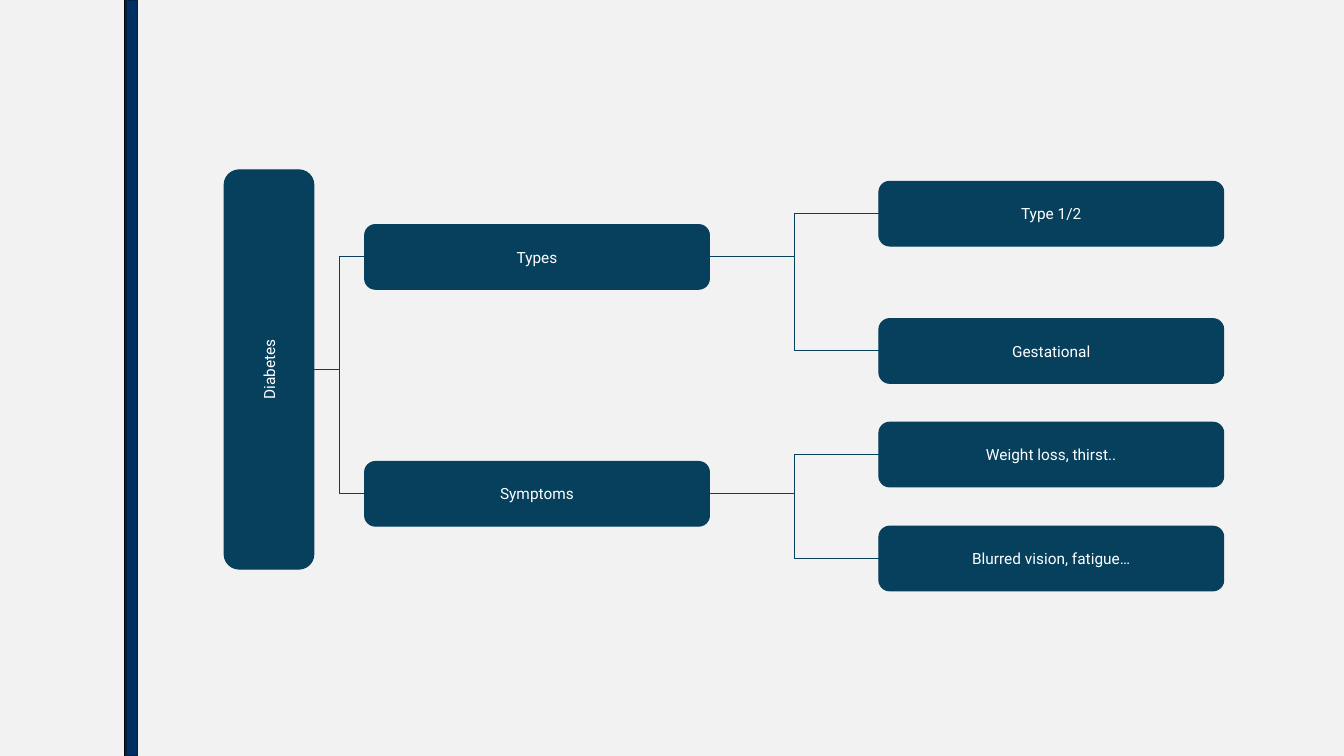
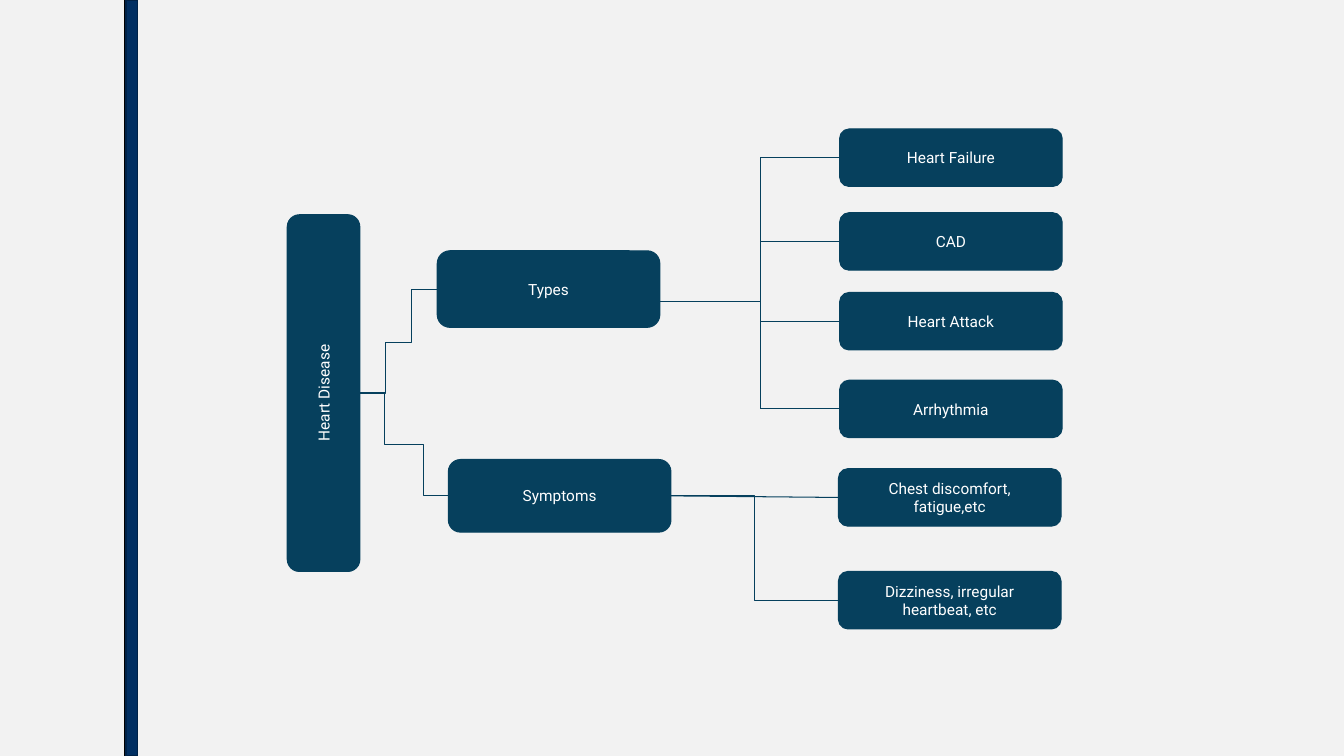
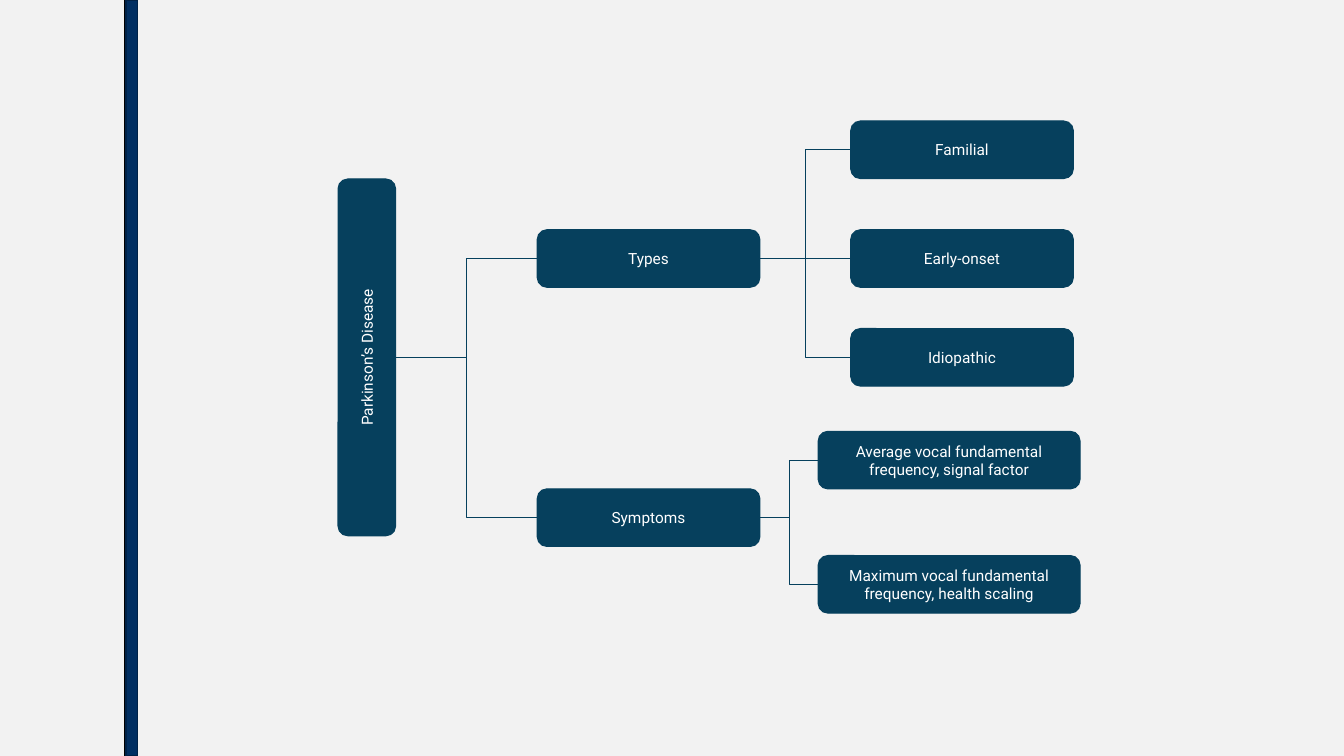
from dataclasses import dataclass

from lxml import etree
from pptx import Presentation
from pptx import util as u
from pptx.dml.color import RGBColor
from pptx.enum import shapes, text
from pptx.oxml.ns import qn


@dataclass(frozen=True)
class Theme:
    paper: str = "F2F2F2"
    node: str = "06405D"
    label: str = "FFFFFF"
    band: str = "012F62"
    band_edge: str = "002247"
    rule: str = "000000"
    font: str = "Roboto"
    label_size: float = 11
    link_width: float = 0.75
    rail_width: float = 1


@dataclass(frozen=True)
class Box:
    """A rectangle in centimetres."""
    left: float
    top: float
    width: float
    height: float

    @property
    def right(self):
        return self.left + self.width

    @property
    def middle(self):
        return self.top + self.height / 2

    @property
    def entry(self):
        return self.left, self.middle

    @property
    def exit(self):
        return self.right, self.middle

    def within(self, area):
        return Box(area.left + self.left, area.top + self.top, self.width, self.height)


@dataclass(frozen=True)
class Branch:
    label: str
    box: Box
    leaves: tuple  # (label, box) pairs
    root_bends: tuple = ()  # three bend positions of a double-step root link
    bus: tuple = ()  # x, top and bottom of a shared upright line


@dataclass(frozen=True)
class Tree:
    area: Box
    label: str
    root: Box
    branches: tuple


THEME = Theme()
PAGE = Box(0, 0, 33.87, 19.05)
ELBOW = shapes.MSO_CONNECTOR.ELBOW
STRAIGHT = shapes.MSO_CONNECTOR.STRAIGHT
LEFT_SITE, RIGHT_SITE = 1, 3


def color(value):
    return RGBColor.from_string(value)


def add_block(page, kind, box, fill, edge, edge_width):
    block = page.shapes.add_shape(
        kind, u.Cm(box.left), u.Cm(box.top), u.Cm(box.width), u.Cm(box.height))
    block.shadow.inherit = False
    block.fill.solid()
    block.fill.fore_color.rgb = color(fill)
    block.line.color.rgb = color(edge)
    block.line.width = u.Pt(edge_width)
    return block


def add_link(page, start, end, kind=STRAIGHT, line=THEME.node, width=THEME.link_width):
    link = page.shapes.add_connector(kind, *(u.Cm(value) for value in (*start, *end)))
    link.line.color.rgb = color(line)
    link.line.width = u.Pt(width)
    etree.SubElement(link._element.spPr, qn("a:effectLst"))
    return link


def set_double_step(link, bends):
    """Turn an elbow into one with three bends, given as shares of its size."""
    geometry = link._element.spPr.find(qn("a:prstGeom"))
    geometry.set("prst", "bentConnector5")
    adjustments = geometry.find(qn("a:avLst"))
    for number, bend in enumerate(bends, 1):
        guide = etree.SubElement(adjustments, qn("a:gd"))
        guide.set("name", f"adj{number}")
        guide.set("fmla", f"val {round(bend * 100000)}")


def add_node(page, box, label, upright=False):
    """Draw a labelled box; an upright one reads from bottom to top."""
    frame = box
    if upright:
        shift = (box.height - box.width) / 2
        frame = Box(box.left - shift, box.top + shift, box.height, box.width)
    node = add_block(page, shapes.MSO_SHAPE.ROUNDED_RECTANGLE, frame,
                     THEME.node, THEME.node, THEME.link_width)
    node.rotation = 270 if upright else 0
    body = node.text_frame
    body.word_wrap = True
    body.vertical_anchor = text.MSO_ANCHOR.MIDDLE
    body.margin_left = body.margin_right = u.Cm(0.25)
    body.margin_top = body.margin_bottom = u.Cm(0.25)
    para = body.paragraphs[0]
    para.alignment = text.PP_ALIGN.CENTER
    span = para.add_run()
    span.text = label
    span.font.name = THEME.font
    span.font.size = u.Pt(THEME.label_size)
    span.font.color.rgb = color(THEME.label)
    return node


def add_rail(page, area):
    """Draw the upright band and the black rule along its left edge."""
    add_link(page, (area.left, area.top), (area.left, area.top + area.height),
             line=THEME.rule, width=THEME.rail_width)
    band = Box(0.03, 0, area.width - 0.03, area.height).within(area)
    add_block(page, shapes.MSO_SHAPE.RECTANGLE, band,
              THEME.band, THEME.band_edge, THEME.rail_width)


def add_bus(page, area, bus, first_leaf, other_leaves):
    """Link the first leaf by an elbow and the others by a shared upright line."""
    x, top, bottom = bus
    x += area.left
    start = (area.left + 9.12, area.top + 4.34)
    add_link(page, start, (2 * x - start[0], first_leaf.middle), ELBOW)
    add_link(page, (x, area.top + top), (x, area.top + bottom))
    for leaf in other_leaves:
        add_link(page, (x, leaf.middle), leaf.entry)


def add_branch(page, area, branch):
    box = branch.box.within(area)
    node = add_node(page, box, branch.label)
    leaf_boxes = [leaf.within(area) for _, leaf in branch.leaves]
    for (label, _), leaf_box in zip(branch.leaves, leaf_boxes):
        leaf = add_node(page, leaf_box, label)
        if not branch.bus:
            level = abs(leaf_box.middle - box.middle) < 0.1
            link = add_link(page, box.exit, leaf_box.entry, STRAIGHT if level else ELBOW)
            link.begin_connect(node, RIGHT_SITE)
            link.end_connect(leaf, LEFT_SITE)
    if branch.bus:
        add_bus(page, area, branch.bus, leaf_boxes[0], leaf_boxes[1:])


def add_tree(page, tree):
    root = tree.root.within(tree.area)
    for branch in tree.branches:
        link = add_link(page, root.exit, branch.box.within(tree.area).entry, ELBOW)
        if branch.root_bends:
            set_double_step(link, branch.root_bends)
    add_node(page, root, tree.label, upright=True)
    for branch in tree.branches:
        add_branch(page, tree.area, branch)


def column(left, width, height, *rows):
    """Pair each (label, top) row with its box in one column."""
    return tuple((label, Box(left, top, width, height)) for label, top in rows)


TREES = (
    Tree(Box(5.65, 4.28, 25.19, 10.61), "Diabetes", Box(0, 0, 2.26, 10.06), (
        Branch("Types", Box(3.54, 1.38, 8.69, 1.63),
               column(16.5, 8.69, 1.63, ("Type 1/2", 0.29), ("Gestational", 3.75))),
        Branch("Symptoms", Box(3.54, 7.35, 8.69, 1.63),
               column(16.5, 8.69, 1.63, ("Weight loss, thirst..", 6.36),
                      ("Blurred vision, fatigue…", 8.98))),
    )),
    Tree(Box(7.24, 3.25, 19.53, 12.6), "Heart Disease", Box(0, 2.16, 1.83, 8.99), (
        Branch("Types", Box(3.78, 3.07, 5.61, 1.93),
               column(13.92, 5.61, 1.45, ("Heart Failure", 0), ("CAD", 2.11),
                      ("Heart Attack", 4.12), ("Arrhythmia", 6.33)),
               root_bends=(0.33, 0.49, 0.67), bus=(11.93, 2.54, 7.06)),
        Branch("Symptoms", Box(4.06, 8.33, 5.61, 1.83),
               column(13.89, 5.61, 1.45, ("Chest discomfort, fatigue,etc", 8.56),
                      ("Dizziness, irregular heartbeat, etc", 11.15)),
               root_bends=(0.28, 0.5, 0.72)),
    )),
    Tree(Box(8.52, 3.05, 18.71, 12.4), "Parkinson’s Disease", Box(0, 1.46, 1.45, 8.99), (
        Branch("Types", Box(5.02, 2.74, 5.61, 1.45),
               column(12.92, 5.61, 1.45, ("Familial", 0), ("Early-onset", 2.74),
                      ("Idiopathic", 5.23))),
        Branch("Symptoms", Box(5.02, 9.27, 5.61, 1.45),
               column(12.1, 6.6, 1.45,
                      ("Average vocal fundamental frequency, signal factor", 7.82),
                      ("Maximum vocal fundamental frequency, health scaling", 10.95))),
    )),
)


def main():
    deck = Presentation()
    deck.slide_width, deck.slide_height = u.Cm(PAGE.width), u.Cm(PAGE.height)
    paper = deck.slide_master.background.fill
    paper.solid()
    paper.fore_color.rgb = color(THEME.paper)
    blank = deck.slide_layouts.get_by_name("Blank")
    for tree in TREES:
        page = deck.slides.add_slide(blank)
        add_rail(page, Box(3.15, 0, 0.31, PAGE.height))
        add_tree(page, tree)
    deck.save("out.pptx")


if __name__ == "__main__":
    main()
